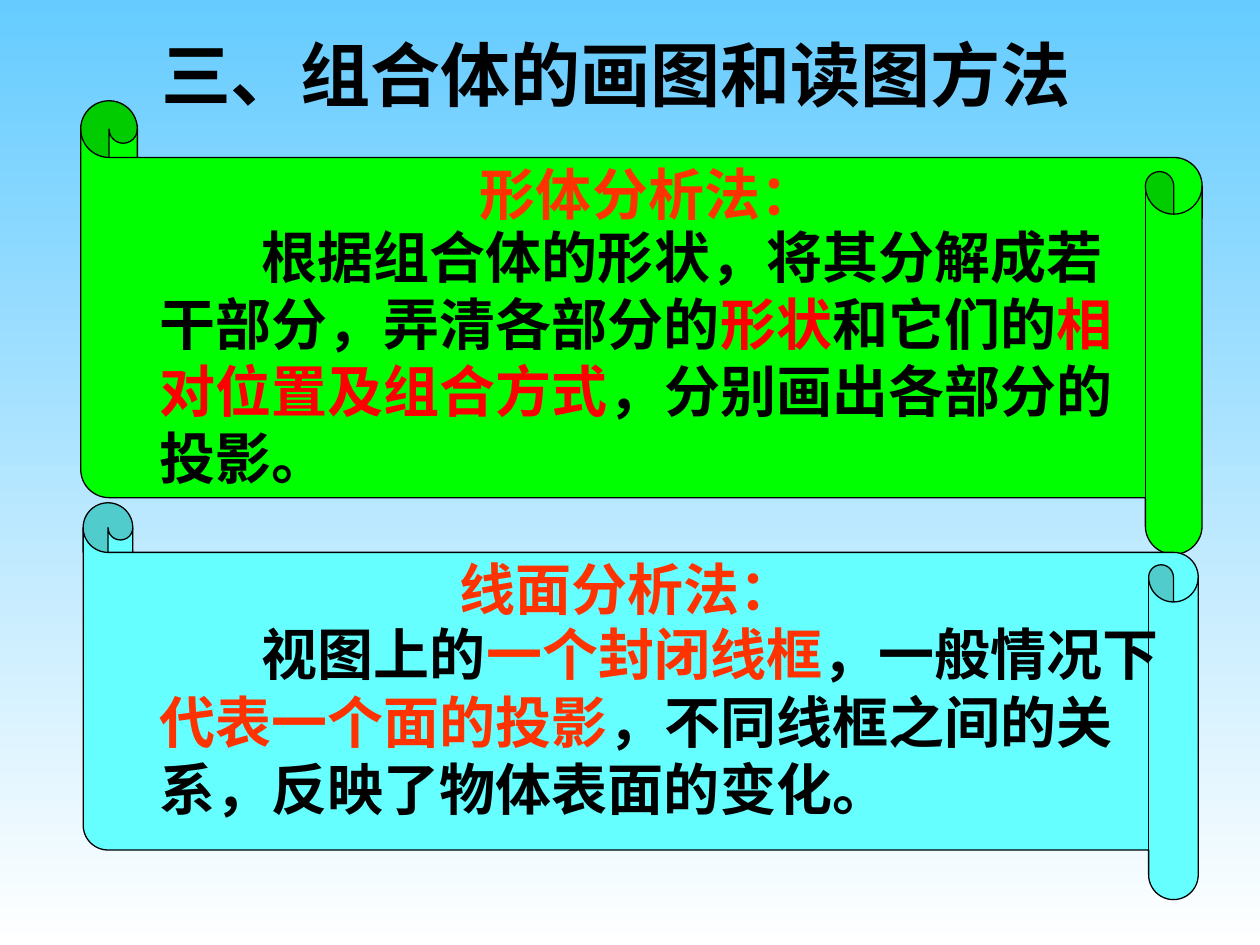
import pptx
import pptx.dml.color
import pptx.enum.lang
import pptx.enum.shapes
import pptx.enum.text
import pptx.oxml
import pptx.oxml.ns
import pptx.util

Inches = pptx.util.Inches
Pt = pptx.util.Pt
ALIGN = pptx.enum.text.PP_ALIGN
ANCHOR = pptx.enum.text.MSO_ANCHOR

CJK_FONT = "Noto Sans CJK SC"
SERIF_FONT = "Times New Roman"
BLACK, RED, ORANGE = "000000", "FF0000", "FF3300"


def rgb(value):
    return pptx.dml.color.RGBColor.from_string(value)


def set_background(slide, top, bottom):
    fill = slide.background.fill
    fill.gradient()
    fill.gradient_angle = 270
    for stop, position, color in zip(fill.gradient_stops, (0, 1), (top, bottom)):
        stop.position = position
        stop.color.rgb = rgb(color)


def add_text(shapes, runs, left, top, width, height, size=32, font=SERIF_FONT,
             align=ALIGN.LEFT, anchor=ANCHOR.MIDDLE, wrap=False, indent=0):
    """Add a bold paragraph made of (text, color) runs."""
    box = shapes.add_textbox(Inches(left), Inches(top), Inches(width), Inches(height))
    frame = box.text_frame
    frame.word_wrap = wrap
    frame.auto_size = pptx.enum.text.MSO_AUTO_SIZE.SHAPE_TO_FIT_TEXT
    frame.vertical_anchor = anchor
    paragraph = frame.paragraphs[0]
    paragraph.alignment = align
    paragraph.line_spacing = Pt(size * 1.2)
    if indent:
        paragraph._p.get_or_add_pPr().set("indent", str(Inches(indent)))
    for text, color in runs:
        run = paragraph.add_run()
        run.text = text
        run.font.size = Pt(size)
        run.font.bold = True
        run.font.name = font
        run.font.language_id = pptx.enum.lang.MSO_LANGUAGE_ID.SIMPLIFIED_CHINESE
        run.font.color.rgb = rgb(color)
        east_asian = pptx.oxml.parse_xml(
            f'<a:ea {pptx.oxml.ns.nsdecls("a")} typeface="{CJK_FONT}"/>')
        run.font._element.append(east_asian)


def add_scroll(shapes, left, top, width, height, color):
    """Add a vertical scroll turned on its side."""
    scroll = shapes.add_shape(pptx.enum.shapes.MSO_SHAPE.VERTICAL_SCROLL,
                              Inches(left), Inches(top), Inches(width), Inches(height))
    scroll.rotation = 90
    scroll.adjustments[0] = 0.125
    scroll.shadow.inherit = False
    scroll.fill.solid()
    scroll.fill.fore_color.rgb = rgb(color)
    scroll.line.color.rgb = rgb(BLACK)
    scroll.line.width = Pt(0.75)


def add_method(slide, scroll, color, heading, heading_at, heading_font, body, body_at):
    """Add one method: a scroll with its heading and description."""
    shapes = slide.shapes.add_group_shape().shapes
    add_scroll(shapes, *scroll, color)
    add_text(shapes, body, *body_at, wrap=True, indent=0.81)
    add_text(shapes, [(heading, ORANGE)], *heading_at, font=heading_font,
             align=ALIGN.CENTER)


def main():
    deck = pptx.Presentation()
    deck.slide_width, deck.slide_height = Inches(10), Inches(7.5)
    slide = deck.slides.add_slide(deck.slide_layouts[6])
    set_background(slide, "66CCFF", "FFFFFF")

    # Title
    add_text(slide.shapes, [("三、组合体的画图和读图方法", BLACK)], 1.18, 0.2, 7.46, 0.77,
             size=40, font=CJK_FONT, anchor=ANCHOR.TOP)

    # Shape analysis
    shape_analysis = [
        ("根据组合体的形状，将其分解成若干部分，弄清各部分的", BLACK),
        ("形状", RED),
        ("和它们的", BLACK),
        ("相对位置及组合方式", RED),
        ("，分别画出各部分的投影。", BLACK),
    ]
    add_method(slide, (3.29, -1.85, 3.6, 8.9), "00FF00",
               "形体分析法：", (3.71, 1.21, 2.87, 0.64), CJK_FONT,
               shape_analysis, (1.17, 1.71, 8.01, 2.24))

    # Line and face analysis
    line_analysis = [
        ("视图上的", BLACK),
        ("一个封闭线框", ORANGE),
        ("，一般情况下", BLACK),
        ("代表一个面的投影", ORANGE),
        ("，不同线框之间的关系，反映了物体表面的变化。", BLACK),
    ]
    add_method(slide, (3.51, 1.14, 3.15, 8.85), "66FFFF",
               "线面分析法：", (3.55, 4.35, 2.87, 0.64), SERIF_FONT,
               line_analysis, (1.17, 4.87, 8.17, 1.7))

    deck.save("out.pptx")


if __name__ == "__main__":
    main()
